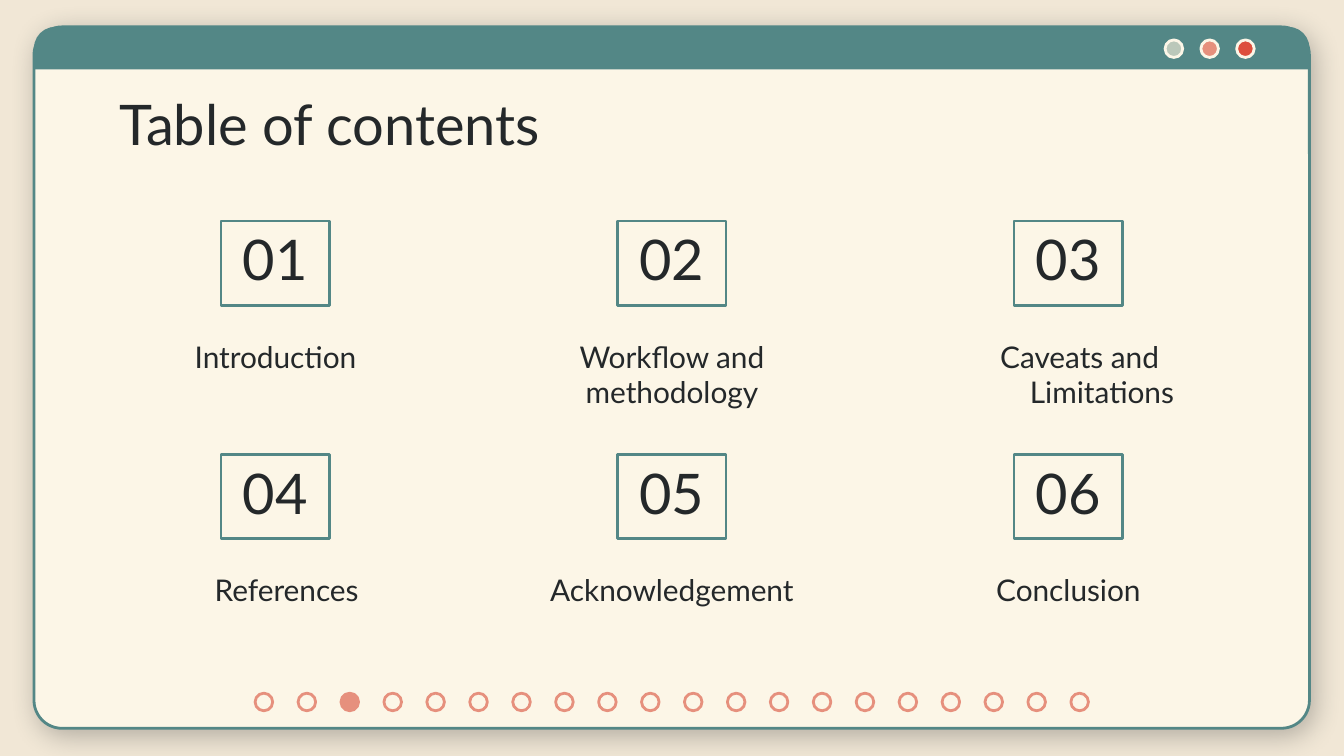
from dataclasses import dataclass

from lxml import etree
from pptx import Presentation
from pptx.dml.color import RGBColor
from pptx.enum.shapes import MSO_SHAPE
from pptx.enum.text import MSO_ANCHOR, PP_ALIGN
from pptx.oxml.ns import qn
from pptx.util import Pt

RECTANGLE = MSO_SHAPE.RECTANGLE
ROUNDED = MSO_SHAPE.ROUNDED_RECTANGLE
ROUND_TOP = MSO_SHAPE.ROUND_2_SAME_RECTANGLE
OVAL = MSO_SHAPE.OVAL
LEFT, CENTER = PP_ALIGN.LEFT, PP_ALIGN.CENTER
TOP, BOTTOM = MSO_ANCHOR.TOP, MSO_ANCHOR.BOTTOM


@dataclass(frozen=True)
class Theme:
    font: str = "Lato"
    heading: float = 30
    caption: float = 16
    stroke: float = 1.5
    backdrop: str = "F1E7D6"
    paper: str = "FCF6E7"
    teal: str = "538786"
    ink: str = "24282A"
    sage: str = "BBC8BA"
    salmon: str = "E6907D"
    red: str = "DD4F3D"


THEME = Theme()
DOT_SIZE = 9.4
DOT_COUNT = 20
CURRENT_DOT = 2
COLUMN_STEP, ROW_STEP = 212.4, 125
ENTRIES = [
    ("Introduction", {}),
    ("Workflow and methodology", {}),
    ("Caveats and Limitations", {"marL": 36, "indent": -24}),
    ("References", {"marL": 12}),
    ("Acknowledgement", {}),
    ("Conclusion", {}),
]


def add_figure(page, kind, frame, fill=None, line=None):
    shape = page.shapes.add_shape(kind, *map(Pt, frame))
    shape.shadow.inherit = False
    if fill:
        shape.fill.solid()
        shape.fill.fore_color.rgb = RGBColor.from_string(fill)
    else:
        shape.fill.background()
    if line:
        shape.line.color.rgb = RGBColor.from_string(line)
        shape.line.width = Pt(THEME.stroke)
    else:
        shape.line.fill.background()
    return shape


def add_shadow(shape, color, opacity, blur, distance, degrees):
    effects = shape._element.spPr.find(qn("a:effectLst"))
    shadow = etree.SubElement(
        effects, qn("a:outerShdw"), blurRad=str(Pt(blur)), dist=str(Pt(distance)),
        dir=str(degrees * 60000), algn="bl", rotWithShape="0")
    tint = etree.SubElement(shadow, qn("a:srgbClr"), val=color)
    etree.SubElement(tint, qn("a:alpha"), val=str(opacity * 1000))


def write_text(box, text, size, align=CENTER, anchor=TOP, indents=None):
    frame = box.text_frame
    settings = {"word_wrap": True, "vertical_anchor": anchor}
    settings.update({f"margin_{side}": Pt(7.2) for side in ("left", "top", "right", "bottom")})
    for name, value in settings.items():
        setattr(frame, name, value)
    para = frame.paragraphs[0]
    para.alignment = align
    for name, value in (indents or {}).items():
        para._p.get_or_add_pPr().set(name, str(Pt(value)))
    span = para.add_run()
    span.text = text
    for name, value in {"name": THEME.font, "size": Pt(size)}.items():
        setattr(span.font, name, value)
    span.font.color.rgb = RGBColor.from_string(THEME.ink)


def add_text(page, frame, text, size, **options):
    box = page.shapes.add_textbox(*map(Pt, frame))
    write_text(box, text, size, **options)


def add_window(page):
    window = add_figure(page, ROUNDED, (18.2, 14.4, 683.3, 375.8), THEME.paper, THEME.teal)
    window.adjustments[0] = 0.04
    add_shadow(window, THEME.ink, 30, 14.6, 3.8, 50)
    bar = add_figure(page, ROUND_TOP, (18.2, 14.4, 683.3, 22.8), THEME.teal)
    bar.adjustments[0] = 0.5
    for index, color in enumerate((THEME.sage, THEME.salmon, THEME.red)):
        frame = (624.2 + index * 19.15, 21.4, DOT_SIZE, DOT_SIZE)
        add_figure(page, OVAL, frame, color, THEME.paper)


def add_entry(page, index, caption, indents):
    row, column = divmod(index, 3)
    across, down = column * COLUMN_STEP, row * ROW_STEP
    number = add_figure(page, RECTANGLE, (118.4 + across, 118.4 + down, 58.2, 45.3),
                        line=THEME.teal)
    write_text(number, f"{index + 1:02}", THEME.heading, anchor=BOTTOM)
    add_text(page, (56.9 + across, 174 + down, 181.4, 40.3), caption, THEME.caption,
             indents=indents)


def add_progress(page):
    for index in range(DOT_COUNT):
        fill = THEME.salmon if index == CURRENT_DOT else THEME.paper
        frame = (136.7 + index * 23, 371.4, DOT_SIZE, DOT_SIZE)
        add_figure(page, OVAL, frame, fill, THEME.salmon)


def main():
    deck = Presentation()
    deck.slide_width, deck.slide_height = Pt(720), Pt(405)
    page = deck.slides.add_slide(deck.slide_layouts[6])
    page.background.fill.solid()
    page.background.fill.fore_color.rgb = RGBColor.from_string(THEME.backdrop)
    add_window(page)
    add_text(page, (56.9, 41, 607, 45.4), "Table of contents", THEME.heading, align=LEFT)
    for index, (caption, indents) in enumerate(ENTRIES):
        add_entry(page, index, caption, indents)
    add_progress(page)
    deck.save("out.pptx")


if __name__ == "__main__":
    main()
